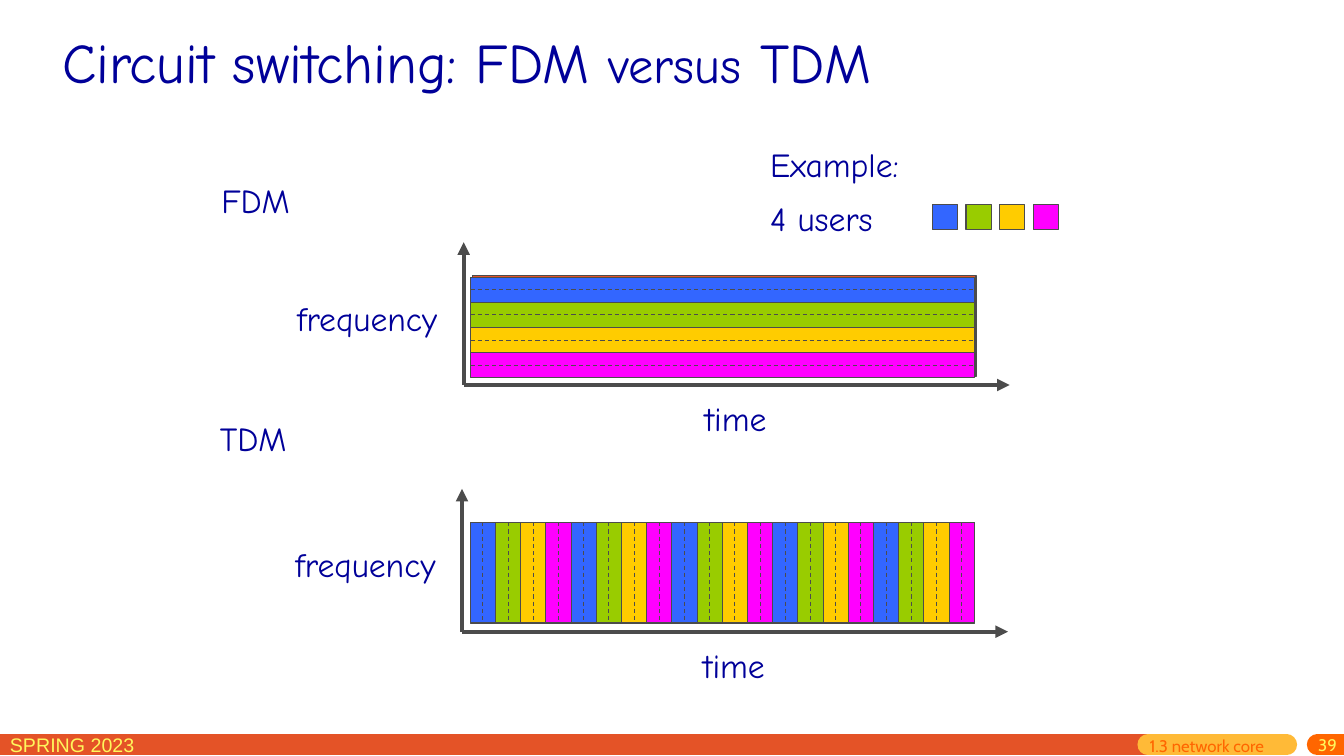
from pptx import Presentation
from pptx.dml.color import RGBColor
from pptx.enum.dml import MSO_LINE
from pptx.enum.shapes import MSO_CONNECTOR, MSO_SHAPE
from pptx.enum.text import MSO_ANCHOR, MSO_AUTO_SIZE, PP_ALIGN
from pptx.oxml.ns import qn
from pptx.util import Pt
from lxml.etree import SubElement

NAVY = RGBColor(0x00, 0x00, 0x99)
GRAY = RGBColor(0x4C, 0x4C, 0x4C)
RUST = RGBColor(0xE4, 0x53, 0x27)
AMBER = RGBColor(0xFF, 0xBA, 0x37)
ORANGE = RGBColor(0xFF, 0x66, 0x00)
LEMON = RGBColor(0xFF, 0xF6, 0x5C)
BLUE = RGBColor(0x33, 0x66, 0xFF)
GREEN = RGBColor(0x99, 0xCC, 0x00)
GOLD = RGBColor(0xFF, 0xCC, 0x00)
PINK = RGBColor(0xFF, 0x00, 0xFF)
USERS = [BLUE, GREEN, GOLD, PINK]

LEFT, WIDE, HIGH = 336, 360, 72
BAND = 18
SLOTS = WIDE // BAND
FDM_TOP, TDM_TOP = 198, 373


def add_text(slide, box, runs, color=NAVY, font="Comic Neue", anchor=MSO_ANCHOR.TOP):
    """Add one line of text; runs holds (text, size) pairs."""
    frame = slide.shapes.add_textbox(*map(Pt, box)).text_frame
    frame.word_wrap = True
    frame.vertical_anchor = anchor
    for text, size in runs:
        run = frame.paragraphs[0].add_run()
        run.text = text
        run.font.size = Pt(size)
        run.font.name = font
        run.font.color.rgb = color
    return frame


def add_label(slide, box, text):
    frame = add_text(slide, box, [(text, 24)])
    frame.word_wrap = False
    frame.auto_size = MSO_AUTO_SIZE.SHAPE_TO_FIT_TEXT


def add_rect(slide, box, fill):
    rect = slide.shapes.add_shape(MSO_SHAPE.RECTANGLE, *map(Pt, box))
    rect.shadow.inherit = False
    rect.fill.solid()
    rect.fill.fore_color.rgb = fill
    rect.line.color.rgb = GRAY
    rect.line.width = Pt(0.75)


def add_line(slide, ends, color=GRAY, width=0.75):
    line = slide.shapes.add_connector(MSO_CONNECTOR.STRAIGHT, *map(Pt, ends))
    line.line.color.rgb = color
    line.line.width = Pt(width)
    SubElement(line._element.spPr, qn("a:effectLst"))
    return line


def add_arrow(slide, ends):
    arrow = add_line(slide, ends, width=3)
    SubElement(arrow.line._get_or_add_ln(), qn("a:tailEnd"), type="triangle")


def add_bar(slide, ends, color, cap="rnd"):
    """Draw a thick footer line with the given end cap."""
    bar = add_line(slide, ends, color, 15)
    bar.line._get_or_add_ln().set("cap", cap)


def add_plot(slide, x, y):
    """Draw the axes from origin x, y, with their labels and the backing area."""
    add_arrow(slide, (x, y, x, y - 102))
    add_label(slide, (x - 126, y - 66, 128, 37), "frequency")
    add_arrow(slide, (x, y, x + 390, y))
    add_label(slide, (x + 165, y + 6, 65, 37), "time")
    add_rect(slide, (x + 6, y - 78, WIDE, HIGH), RUST)


def add_rules(slide, count, span):
    """Draw band borders, then dashed midlines; span gives line ends at an offset."""
    for i in range(1, count):
        add_line(slide, span(i * BAND))
    for i in range(count):
        line = add_line(slide, span((i + 0.5) * BAND))
        line.line.dash_style = MSO_LINE.DASH


def add_fdm(slide):
    add_label(slide, (151, 125, 69, 37), "FDM")
    add_plot(slide, 331.2, 275)
    for i, color in enumerate(USERS):
        add_rect(slide, (LEFT, FDM_TOP + i * BAND, WIDE, BAND), color)
    add_rules(slide, len(USERS),
              lambda d: (LEFT, FDM_TOP + d, LEFT + WIDE, FDM_TOP + d))


def add_tdm(slide):
    add_label(slide, (150, 295, 70, 37), "TDM")
    add_plot(slide, 330, 451.2)
    for i in range(SLOTS):
        box = (LEFT + i * BAND, TDM_TOP, BAND, HIGH)
        add_rect(slide, box, USERS[i % len(USERS)])
    add_rules(slide, SLOTS,
              lambda d: (LEFT + d, TDM_TOP, LEFT + d, TDM_TOP + HIGH))


def add_legend(slide):
    add_label(slide, (543, 99, 114, 36), "Example:")
    add_label(slide, (543, 138, 97, 37), "4 users")
    for i, color in enumerate(USERS):
        add_rect(slide, (666 + i * 24, 146, BAND, BAND), color)


def add_footer(slide):
    add_bar(slide, (-13, 532, 820, 532), RUST, "flat")
    add_bar(slide, (820, 532, 919, 532), AMBER)
    add_bar(slide, (941, 532, 979, 532), ORANGE)
    add_text(slide, (0, 520, 165, 22), [("SPRING 2023", 14)], LEMON, "Arial")
    add_text(slide, (814, 525, 109, 15), [("1.3 network core", 12)],
             ORANGE, "Cabin", MSO_ANCHOR.MIDDLE)
    page = add_text(slide, (934, 525, 28, 17), [("39", 12)],
                    LEMON, "Cabin", MSO_ANCHOR.MIDDLE)
    page.margin_top = 0
    page.paragraphs[0].alignment = PP_ALIGN.RIGHT


def main():
    deck = Presentation()
    deck.slide_width, deck.slide_height = Pt(960), Pt(540)
    slide = deck.slides.add_slide(deck.slide_layouts[6])
    add_footer(slide)
    title = [("Circuit switching: FDM ", 40), ("versus", 36), (" TDM", 40)]
    add_text(slide, (37.5, 6, 667, 75), title, anchor=MSO_ANCHOR.MIDDLE)
    add_fdm(slide)
    add_tdm(slide)
    add_legend(slide)
    deck.save("out.pptx")


if __name__ == "__main__":
    main()
